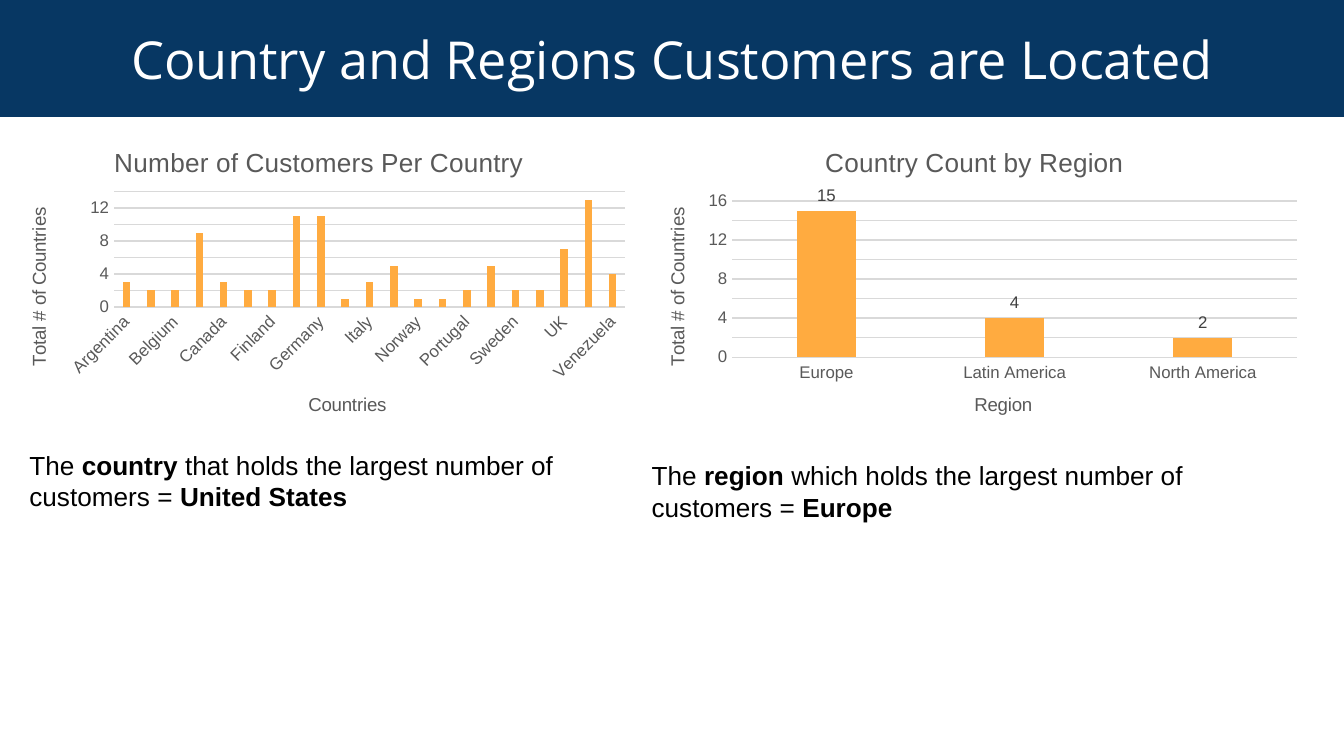
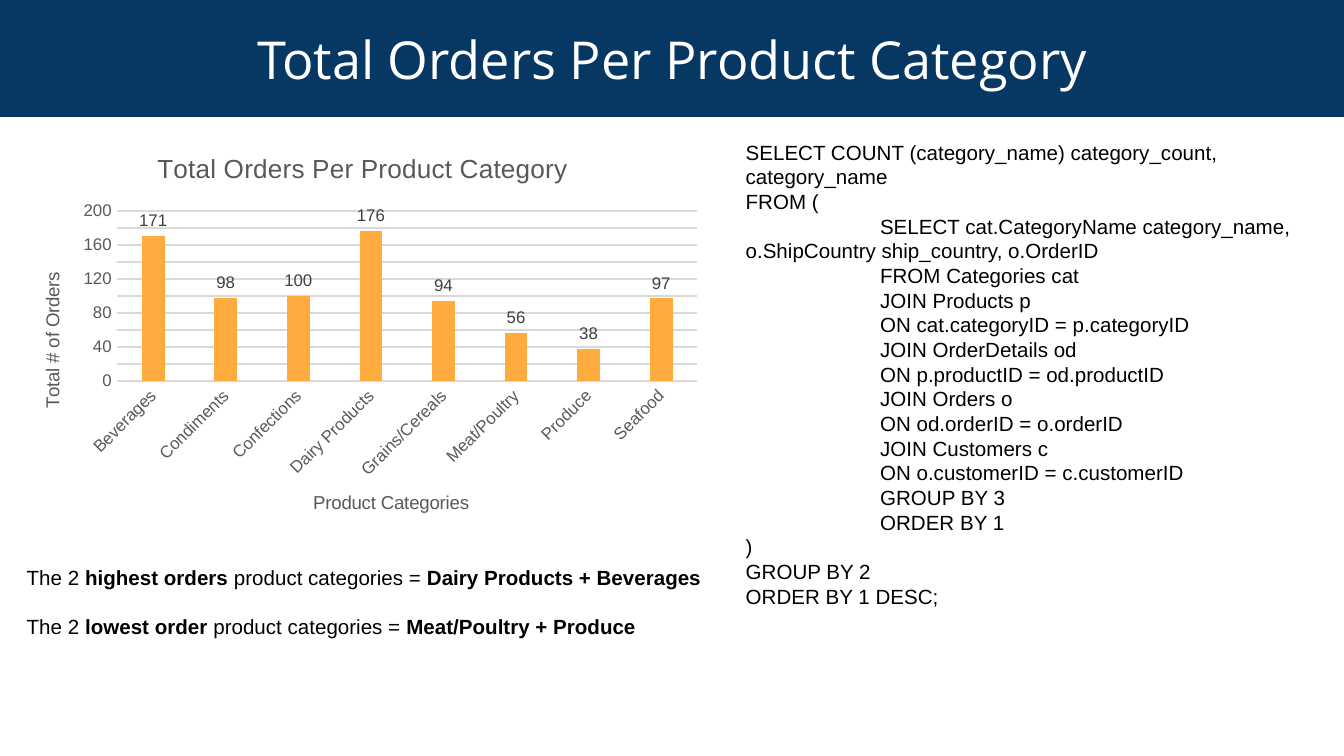
from dataclasses import dataclass

from lxml import etree
from pptx import Presentation
from pptx.chart.data import CategoryChartData
from pptx.dml.color import RGBColor
from pptx.enum.chart import XL_CHART_TYPE, XL_LABEL_POSITION, XL_TICK_MARK
from pptx.enum.shapes import MSO_SHAPE
from pptx.enum.text import MSO_ANCHOR, PP_ALIGN
from pptx.oxml.ns import qn
from pptx.util import Pt

COLUMNS = XL_CHART_TYPE.COLUMN_CLUSTERED
OUTSIDE = XL_LABEL_POSITION.OUTSIDE_END
NO_TICK = XL_TICK_MARK.NONE
RECTANGLE = MSO_SHAPE.RECTANGLE
MIDDLE = MSO_ANCHOR.MIDDLE
CENTER = PP_ALIGN.CENTER

EMU_PER_PX = 4572
PAGE_WIDTH, PAGE_HEIGHT = 2000, 1125
BLANK_LAYOUT = 6


@dataclass(frozen=True)
class Theme:
    navy: str = "073763"
    white: str = "FFFFFF"
    black: str = "000000"
    orange: str = "FFAB40"
    gray: str = "595959"
    label: str = "404040"
    grid: str = "D9D9D9"
    heading_font: str = "Open Sans"
    body_font: str = "Arial"
    heading: int = 28
    finding: int = 14
    detail: int = 11
    chart_title: int = 14
    axis_title: int = 10
    tick: int = 9


THEME = Theme()

CUSTOMERS = {
    "Argentina": 3, "Austria": 2, "Belgium": 2, "Brazil": 9, "Canada": 3,
    "Denmark": 2, "Finland": 2, "France": 11, "Germany": 11, "Ireland": 1,
    "Italy": 3, "Mexico": 5, "Norway": 1, "Poland": 1, "Portugal": 2,
    "Spain": 5, "Sweden": 2, "Switzerland": 2, "UK": 7, "USA": 13,
    "Venezuela": 4,
}
REGIONS = {"Europe": 15, "Latin America": 4, "North America": 2}
ORDERS = {
    "Beverages": 171, "Condiments": 98, "Confections": 100,
    "Dairy Products": 176, "Grains/Cereals": 94, "Meat/Poultry": 56,
    "Produce": 38, "Seafood": 97,
}

QUERY_START = [
    "SELECT COUNT (category_name) category_count, category_name",
    "FROM (",
]
SUBQUERY = [
    "SELECT cat.CategoryName category_name, o.ShipCountry ship_country, o.OrderID",
    "FROM Categories cat",
    "JOIN Products p",
    "ON cat.categoryID = p.categoryID",
    "JOIN OrderDetails od",
    "ON p.productID = od.productID",
    "JOIN Orders o",
    "ON od.orderID = o.orderID",
    "JOIN Customers c",
    "ON o.customerID = c.customerID",
    "GROUP BY 3",
    "ORDER BY 1",
]
QUERY_END = [")", "GROUP BY 2", "ORDER BY 1 DESC;"]


def px(*lengths):
    return [length * EMU_PER_PX for length in lengths]


def assign(target, values):
    for name, value in values.items():
        setattr(target, name, value)


def style_font(font, size, color, name=THEME.body_font, bold=False):
    assign(font, {"size": Pt(size), "name": name, "bold": bold})
    font.color.rgb = RGBColor.from_string(color)


def paint(fill, color):
    fill.solid()
    fill.fore_color.rgb = RGBColor.from_string(color)


def add_page(deck, heading):
    page = deck.slides.add_slide(deck.slide_layouts[BLANK_LAYOUT])
    band = page.shapes.add_shape(RECTANGLE, *px(0, 0, PAGE_WIDTH, 174))
    band.shadow.inherit = False
    paint(band.fill, THEME.navy)
    band.line.fill.background()
    frame = band.text_frame
    assign(frame, {"word_wrap": True, "vertical_anchor": MIDDLE})
    para = frame.paragraphs[0]
    para.alignment = CENTER
    span = para.add_run()
    span.text = heading
    style_font(span.font, THEME.heading, THEME.white, THEME.heading_font)
    return page


def indent_first_line(para, length):
    properties = para._p.get_or_add_pPr()
    properties.set("marL", "0")
    properties.set("indent", str(length * EMU_PER_PX))


def add_text(page, bounds, lines, size, gap=0, indented=()):
    box = page.shapes.add_textbox(*px(*bounds))
    frame = box.text_frame
    frame.word_wrap = True
    for index, line in enumerate(lines):
        para = frame.add_paragraph() if index else frame.paragraphs[0]
        if index and gap:
            para.space_before = Pt(gap)
        if line in indented:
            indent_first_line(para, 200)
        for order, text in enumerate(line.split("*")):
            if text:
                span = para.add_run()
                span.text = text
                style_font(span.font, size, THEME.black, bold=order % 2 == 1)


def place(element, index, bounds, left, top, width=None, height=None):
    for old in element.findall(qn("c:layout")):
        element.remove(old)
    layout = etree.Element(qn("c:layout"))
    manual = etree.SubElement(layout, qn("c:manualLayout"))
    values = {"xMode": "edge", "yMode": "edge"}
    if width:
        values = {"layoutTarget": "inner", **values}
    values["x"] = (left - bounds[0]) / bounds[2]
    values["y"] = (top - bounds[1]) / bounds[3]
    if width:
        values["w"] = width / bounds[2]
        values["h"] = height / bounds[3]
    for name, value in values.items():
        etree.SubElement(manual, qn("c:" + name)).set("val", str(value))
    element.insert(index, layout)


def set_title(title, text, size, bounds, left, top):
    title.text_frame.text = text
    span = title.text_frame.paragraphs[0].runs[0]
    style_font(span.font, size, THEME.gray)
    place(title._element, 1, bounds, left, top)


def style_line(line, color):
    line.width = Pt(0.75)
    line.color.rgb = RGBColor.from_string(color)


def rotate_text(body, angle):
    body.set("rot", str(angle * 60000))
    body.set("vert", "horz")


def add_columns(page, bounds, plot_bounds, values, titles, title_lefts,
                value_title_top, top_value, step, labels=True, slanted=True):
    left, top, width, height = bounds
    chart_title, category_title, value_title = titles
    chart_left, category_left = title_lefts
    data = CategoryChartData()
    data.categories = list(values)
    data.add_series("Series 1", list(values.values()))
    chart = page.shapes.add_chart(COLUMNS, *px(*bounds), data).chart
    assign(chart, {"has_legend": False, "has_title": True})
    style_font(chart.font, THEME.axis_title, THEME.black)
    set_title(chart.chart_title, chart_title, THEME.chart_title, bounds,
              chart_left, top + 21)
    place(chart._chartSpace.chart.plotArea, 0, bounds, *plot_bounds)

    plot = chart.plots[0]
    assign(plot, {"gap_width": 219, "overlap": -27, "vary_by_categories": False})
    series = plot.series[0]
    paint(series.format.fill, THEME.orange)
    if labels:
        assign(series.data_labels, {"show_value": True, "position": OUTSIDE})
        style_font(series.data_labels.font, THEME.tick, THEME.label)

    category, value = chart.category_axis, chart.value_axis
    for axis in (category, value):
        assign(axis, {"has_title": True, "major_tick_mark": NO_TICK,
                      "minor_tick_mark": NO_TICK})
        style_font(axis.tick_labels.font, THEME.tick, THEME.gray)
    set_title(category.axis_title, category_title, THEME.axis_title, bounds,
              category_left, top + height - 81)
    set_title(value.axis_title, value_title, THEME.axis_title, bounds,
              left + 35, value_title_top)
    rotate_text(value.axis_title.text_frame._txBody.bodyPr, -90)
    if slanted:
        rotate_text(category._element.find(qn("c:txPr")).find(qn("a:bodyPr")), -45)
    style_line(category.format.line, THEME.grid)
    assign(value, {"minimum_scale": 0, "maximum_scale": top_value,
                   "major_unit": step, "has_major_gridlines": True})
    value.format.line.fill.background()
    style_line(value.major_gridlines.format.line, THEME.grid)


def add_locations(deck):
    page = add_page(deck, "Country and Regions Customers are Located")
    add_text(page, (24, 659, 926, 114),
             ["The *country* that holds the largest number of customers = "
              "*United States*"], THEME.finding)
    add_columns(page, (950, 188, 1000, 472), (1090, 299, 840, 233), REGIONS,
                ("Country Count by Region", "Region", "Total # of Countries"),
                (1221, 1445), 304, 16, 2, slanted=False)
    add_columns(page, (0, 188, 950, 472), (170, 285, 760, 172), CUSTOMERS,
                ("Number of Customers Per Country", "Countries",
                 "Total # of Countries"),
                (163, 454), 304, 14, 2, labels=False)
    add_text(page, (950, 674, 1000, 162),
             ["The *region* which holds the largest number of customers = "
              "*Europe*"], THEME.finding)


def add_orders(deck):
    page = add_page(deck, "Total Orders Per Product Category")
    add_columns(page, (20, 198, 1038, 608), (174, 314, 864, 253), ORDERS,
                ("Total Orders Per Product Category", "Product Categories",
                 "Total # of Orders"),
                (227, 461), 400, 200, 20)
    add_text(page, (20, 831, 1070, 132),
             ["The 2 *highest orders *product categories = "
              "*Dairy Products + Beverages*",
              "The 2 *lowest order *product categories = "
              "*Meat/Poultry + Produce*"], THEME.detail, gap=13)
    add_text(page, (1090, 198, 880, 724), QUERY_START + SUBQUERY + QUERY_END,
             THEME.detail, indented=SUBQUERY)


def main():
    deck = Presentation()
    deck.slide_width, deck.slide_height = px(PAGE_WIDTH, PAGE_HEIGHT)
    add_locations(deck)
    add_orders(deck)
    deck.save("out.pptx")


if __name__ == "__main__":
    main()
